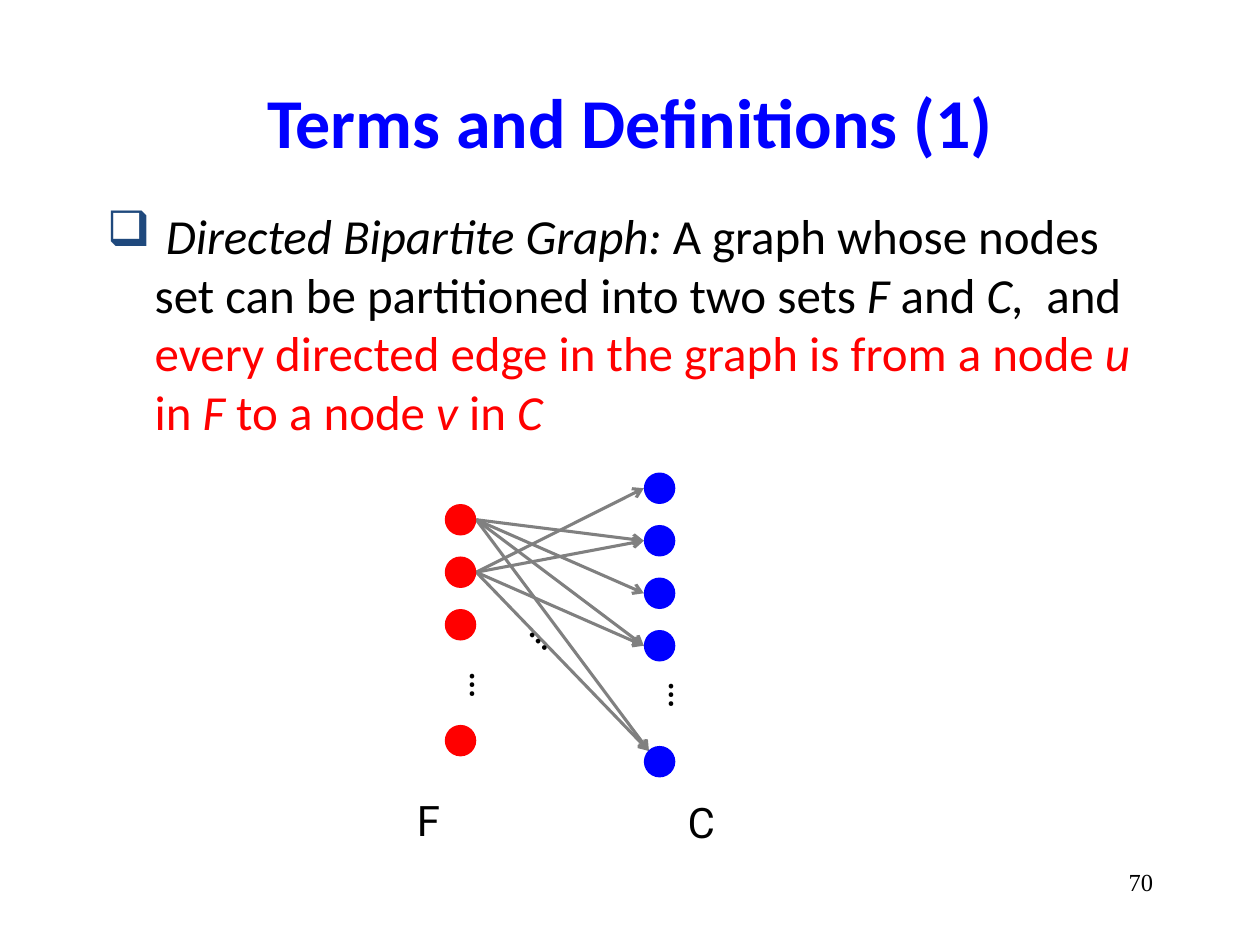
from lxml import etree
from pptx import Presentation
from pptx.dml.color import RGBColor
from pptx.enum import shapes, text
from pptx.oxml.ns import qn
from pptx.util import Inches, Pt

COLORS = {"black": "000000", "blue": "0000FF", "red": "FF0000",
          "gray": "808080", "navy": "1F497D"}

TITLE = "Terms and Definitions (1)"
# (words, italic, color)
DEFINITION = [
    (" ", False, "black"),
    ("Directed Bipartite Graph: ", True, "black"),
    ("A graph whose nodes set can be partitioned into two sets ", False, "black"),
    ("F", True, "black"), (" and ", False, "black"),
    ("C, ", True, "black"), (" and ", False, "black"),
    ("every directed edge in the graph is from a node ", False, "red"),
    ("u", True, "red"), (" in ", False, "red"),
    ("F", True, "red"), (" to a node ", False, "red"),
    ("v ", True, "red"), ("in ", False, "red"), ("C", True, "red"),
]
PAGE = "70"

NODE = 0.25                     # node diameter
STEP = 1.25 / 3                 # distance between neighbouring nodes
LAST_GAP = 0.92                 # distance across the dots to the last node
# left, top of first node, number of nodes before the dots
NODE_SETS = {"F": (3.53, 4.0, 3, "red"), "C": (5.11, 3.75, 4, "blue")}
# node in F -> nodes in C
EDGES = {0: [1, 2, 3, 4], 1: [0, 1, 3, 4]}
# left, top, rotation
DOTS = [(3.38, 5.25, 270), (4.96, 5.33, 270), (3.96, 5.02, 225.9)]
SET_LABELS = [("F", 3.21, 6.26, 0.38), ("C", 5.36, 6.27, 0.4)]


def rgb(name):
    return RGBColor.from_string(COLORS[name])


def add_text(slide, content, box, *, size, font, color="black", bold=False,
             align=text.PP_ALIGN.LEFT, anchor=text.MSO_ANCHOR.TOP,
             wrap=True, rotation=0, bullet=None, indent=0.38):
    """Content is a string or a list of (words, italic, color) runs."""
    label = slide.shapes.add_textbox(*map(Inches, box))
    label.rotation = rotation
    frame = label.text_frame
    frame.word_wrap = wrap
    frame.vertical_anchor = anchor
    if not wrap:
        frame.auto_size = text.MSO_AUTO_SIZE.SHAPE_TO_FIT_TEXT
    paragraph = frame.paragraphs[0]
    paragraph.alignment = align
    if bullet:
        props = paragraph._p.get_or_add_pPr()
        props.set("marL", str(Inches(indent)))
        props.set("indent", str(-Inches(indent)))
        bullet_color = etree.SubElement(props, qn("a:buClr"))
        etree.SubElement(bullet_color, qn("a:srgbClr"), val=COLORS["navy"])
        etree.SubElement(props, qn("a:buChar"), char=bullet)
    runs = [(content, False, color)] if isinstance(content, str) else content
    for words, italic, run_color in runs:
        run = paragraph.add_run()
        run.text = words
        run.font.size, run.font.name = Pt(size), font
        run.font.bold, run.font.italic = bold, italic
        run.font.color.rgb = rgb(run_color)


def node_tops(first, count):
    tops = [first + STEP * i for i in range(count)]
    return tops + [tops[-1] + LAST_GAP]


def add_node(slide, left, top, color):
    node = slide.shapes.add_shape(shapes.MSO_SHAPE.OVAL, Inches(left), Inches(top),
                                  Inches(NODE), Inches(NODE))
    node.shadow.inherit = False
    node.fill.solid()
    node.fill.fore_color.rgb = rgb(color)
    node.line.fill.background()


def add_edge(slide, start, end):
    edge = slide.shapes.add_connector(shapes.MSO_CONNECTOR.STRAIGHT,
                                      *map(Inches, start + end))
    edge.line.color.rgb = rgb("gray")
    edge.line.width = Pt(1.75)
    etree.SubElement(edge.line._get_or_add_ln(), qn("a:tailEnd"), type="arrow")
    etree.SubElement(edge._element.spPr, qn("a:effectLst"))


def add_graph(slide):
    tops = {name: node_tops(first, count)
            for name, (_, first, count, _) in NODE_SETS.items()}
    f_right = NODE_SETS["F"][0] + NODE
    c_left = NODE_SETS["C"][0]
    last = len(tops["C"]) - 1
    for source, targets in EDGES.items():
        for target in targets:
            top = tops["C"][target]
            # the last node is met at its upper left, the others at the left
            end = (c_left + 0.04, top + 0.04) if target == last else (c_left, top + NODE / 2)
            add_edge(slide, (f_right, tops["F"][source] + NODE / 2), end)
    for name, (left, _, _, color) in NODE_SETS.items():
        for top in tops[name]:
            add_node(slide, left, top, color)
    for left, top, rotation in DOTS:
        add_text(slide, "…", (left, top, 0.4, 0.4), size=24, font="Roboto",
                 wrap=False, rotation=rotation)
    for name, left, top, width in SET_LABELS:
        add_text(slide, name, (left, top, width, 0.5), size=24, font="Roboto", wrap=False)


def main():
    deck = Presentation()
    deck.slide_width, deck.slide_height = Inches(10), Inches(7.5)
    slide = deck.slides.add_slide(deck.slide_layouts[6])
    add_text(slide, TITLE, (0.75, 0.33, 8.5, 1.25), size=40, font="Calibri",
             color="blue", bold=True, align=text.PP_ALIGN.CENTER,
             anchor=text.MSO_ANCHOR.MIDDLE)
    add_text(slide, DEFINITION, (0.75, 1.58, 8.5, 5.08), size=28, font="Calibri",
             bullet="❑")
    add_text(slide, PAGE, (7.17, 6.83, 2.08, 0.5), size=14, font="Times New Roman",
             align=text.PP_ALIGN.RIGHT)
    add_graph(slide)
    deck.save("out.pptx")


if __name__ == "__main__":
    main()
